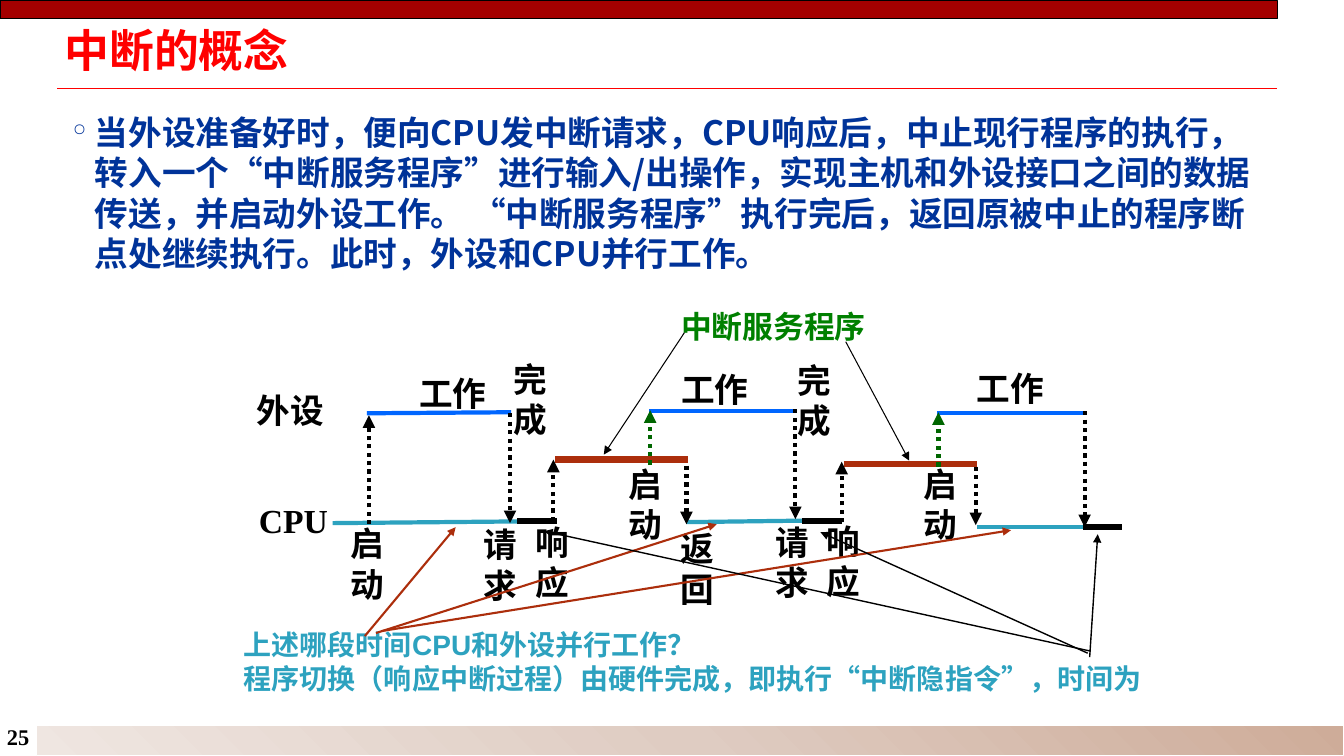
from lxml.etree import SubElement
from pptx import Presentation
from pptx.dml.color import RGBColor
from pptx.enum.dml import MSO_LINE
from pptx.enum.shapes import MSO_CONNECTOR, MSO_SHAPE
from pptx.enum.text import MSO_ANCHOR, MSO_AUTO_SIZE, PP_ALIGN
from pptx.oxml.ns import qn
from pptx.util import Inches, Pt

COLUMNS, ROWS = 133.33, 75
SERIF, SANS, CHINESE = "Times New Roman", "Arial", "Noto Sans CJK SC"
BLACK, RED, TEAL, BLUE = "000000", "FF0000", "2DA2BF", "0066FF"
RUST, GREEN, DARK_GREEN, NAVY = "AC2E0C", "008000", "006600", "003399"


def color(value):
    return RGBColor.from_string(value)


def apply(target, values):
    for name, value in values.items():
        setattr(target, name, value)


class InterruptSlide:
    def __init__(self, deck):
        self.column = deck.slide_width / COLUMNS
        self.row = deck.slide_height / ROWS
        self.page = deck.slides.add_slide(deck.slide_layouts[5])
        self.shapes = self.page.shapes
        self.tight = {"margin_left": Inches(0.07), "margin_right": Inches(0.07),
                      "margin_top": Inches(0.03), "margin_bottom": Inches(0.03)}

    def place(self, left, top, width, height):
        return (round(left * self.column), round(top * self.row),
                round(width * self.column), round(height * self.row))

    def fill_text(self, box, lines, size, hue, font, frame=None, paragraph=None):
        text = box.text_frame
        apply(text, {"word_wrap": True, "auto_size": MSO_AUTO_SIZE.SHAPE_TO_FIT_TEXT,
                     **(frame or {})})
        text.text = "\n".join(lines)
        for para in text.paragraphs:
            apply(para, {"alignment": PP_ALIGN.LEFT, **(paragraph or {})})
            for span in para.runs:
                apply(span.font, {"size": Pt(size), "bold": True, "name": font})
                span.font.color.rgb = color(hue)
                SubElement(span.font._element, qn("a:ea"), typeface=CHINESE)
        return box

    def title(self, wording, area):
        box = self.shapes.title
        apply(box, dict(zip(("left", "top", "width", "height"), self.place(*area))))
        self.fill_text(box, [wording], 32, RED, CHINESE,
                       {**self.tight, "vertical_anchor": MSO_ANCHOR.MIDDLE},
                       {"line_spacing": 0.87})

    def text(self, lines, area, size=24, hue=BLACK, font=SERIF, frame=None, paragraph=None):
        box = self.shapes.add_textbox(*self.place(*area))
        return self.fill_text(box, lines, size, hue, font, frame, paragraph)

    def bullet(self, wording, area):
        box = self.text([wording], area, 24, NAVY, CHINESE, self.tight,
                        {"space_before": Pt(6)})
        properties = box.text_frame.paragraphs[0]._p.get_or_add_pPr()
        properties.set("marL", str(Inches(0.22)))
        properties.set("indent", str(-Inches(0.22)))
        SubElement(properties, qn("a:buChar"), char="°")

    def bar(self, area, line, fill=None, stops=()):
        bar = self.shapes.add_shape(MSO_SHAPE.RECTANGLE, *self.place(*area))
        bar.shadow.inherit = False
        if stops:
            bar.fill.gradient()
            bar.fill.gradient_angle = 225
            stop_list = bar._element.spPr.find(".//" + qn("a:gsLst"))
            for stop in list(stop_list):
                stop_list.remove(stop)
            for position, hue in stops:
                stop = SubElement(stop_list, qn("a:gs"), pos=str(position * 1000))
                SubElement(stop, qn("a:srgbClr"), val=hue)
        else:
            bar.fill.solid()
            bar.fill.fore_color.rgb = color(fill)
        bar.line.color.rgb = color(line)
        bar.line.width = Pt(0.75)

    def line(self, start, end, hue=BLACK, width=3, dotted=False, arrow=False):
        ends = self.place(*start, *end)
        line = self.shapes.add_connector(MSO_CONNECTOR.STRAIGHT, *ends)
        line.line.color.rgb = color(hue)
        line.line.width = Pt(width)
        if dotted:
            line.line.dash_style = MSO_LINE.ROUND_DOT
        properties = line._element.spPr
        if arrow:
            SubElement(properties.find(qn("a:ln")), qn("a:tailEnd"), type="triangle")
        SubElement(properties, qn("a:effectLst"))

    def lines(self, pairs, **style):
        for start, end in pairs:
            self.line(start, end, **style)

    def labels(self, wording, places, width, height):
        for left, top in places:
            self.text([wording], (left, top, width, height))


def frame(slide):
    slide.line((5.7, 8.8), (126.7, 8.8), RED, 1)
    slide.bar((3.6, 72, 129.73, 3), "FFFFFF",
              stops=((0, "CEAC99"), (50, "DFCCC2"), (100, "EFE6E1")))
    slide.text(["25"], (-0.3, 71.2, 4.3, 3.4), 16, frame={"word_wrap": False})
    slide.bar((0, 0.1, 126.7, 1.7), BLACK, "A40000")
    slide.title("中断的概念", (5.7, 2.7, 120.2, 5.2))
    slide.bullet(
        "当外设准备好时，便向CPU发中断请求，CPU响应后，中止现行程序的执行，"
        "转入一个“中断服务程序”进行输入/出操作，实现主机和外设接口之间的数据传送，"
        "并启动外设工作。 “中断服务程序”执行完后，返回原被中止的程序断点处继续执行。"
        "此时，外设和CPU并行工作。", (6.5, 10.8, 119.4, 16.7))


def timeline(slide):
    slide.lines([((33, 51.9), (54.9, 51.7)), ((68.1, 51.8), (83.7, 51.6)),
                 ((96.9, 52.3), (110.7, 52.3))], hue=TEAL)
    slide.lines([((36.4, 41), (50.7, 40.9)), ((64.4, 40.8), (79.1, 40.8)),
                 ((93, 41), (107.7, 41))], hue=BLUE)
    slide.lines([((55.1, 45.6), (68.3, 45.6)), ((83.7, 46), (96.9, 46))],
                hue=RUST, width=4.5)
    slide.lines([((left, top), (left + 3.95, top))
                 for left, top in ((51.3, 51.7), (79.6, 51.7), (107.4, 52.3))], width=4.5)
    slide.lines([((column, start), (column, end)) for column, start, end in (
        (36.6, 52, 41.2), (50.6, 41, 51.9), (54.9, 51.7, 45.6), (68.1, 46.2, 52),
        (78.9, 40.6, 51.5), (83.5, 51.8, 45.8), (96.8, 46.3, 52.1),
        (107.6, 40.8, 52.3))], dotted=True, arrow=True)
    slide.lines([((64.5, 46.1), (64.5, 40.7)), ((93.1, 46.3), (93.1, 40.9))],
                hue=DARK_GREEN, dotted=True, arrow=True)


def captions(slide):
    for wording, places, width, height in (
            ("外设", [(24.5, 38.2)], 9.4, 5),
            ("CPU", [(24.7, 49.1)], 9.4, 5),
            ("工作", [(40.6, 36.5), (66.6, 36.1), (95.9, 36)], 11.6, 5),
            ("启动", [(33.8, 51.4), (61.4, 45.5), (90.6, 45.5)], 5.4, 9.1),
            ("完成", [(50, 35.1), (78.1, 35.2)], 5, 9.1),
            ("请求", [(47, 51.5), (75.9, 51.3)], 5.7, 9.1),
            ("响应", [(52.1, 51.3), (81, 51.2)], 5.7, 9.1),
            ("返回", [(66.5, 51.9)], 5.7, 9.1)):
        slide.labels(wording, places, width, height)
    slide.text(["中断服务程序"], (66.6, 30, 27.8, 4.7), 22, GREEN)
    slide.text(["上述哪段时间CPU和外设并行工作？",
                "程序切换（响应中断过程）由硬件完成，即执行“中断隐指令”，时间为"],
               (23.2, 61.8, 95.4, 7.7), 20, TEAL, SANS)


def pointers(slide):
    slide.lines([((67.9, 33), (59.9, 45.1)), ((83.9, 33.9), (90.2, 45.7))],
                width=0.75, arrow=True)
    slide.lines([((36.2, 63.1), (45.2, 52.3)), ((37.3, 62.8), (71.1, 52)),
                 ((37.9, 62.6), (100.3, 52.6))], hue=RUST, width=1.5, arrow=True)
    slide.lines([((108.1, 65.2), (108.9, 53)), ((108.2, 64.6), (54, 52.7)),
                 ((107.9, 64.8), (81.4, 52.8))], width=1, arrow=True)


def main():
    deck = Presentation()
    apply(deck, {"slide_width": Inches(13.33), "slide_height": Inches(7.5)})
    slide = InterruptSlide(deck)
    for draw in (frame, timeline, captions, pointers):
        draw(slide)
    deck.save("out.pptx")


if __name__ == "__main__":
    main()
